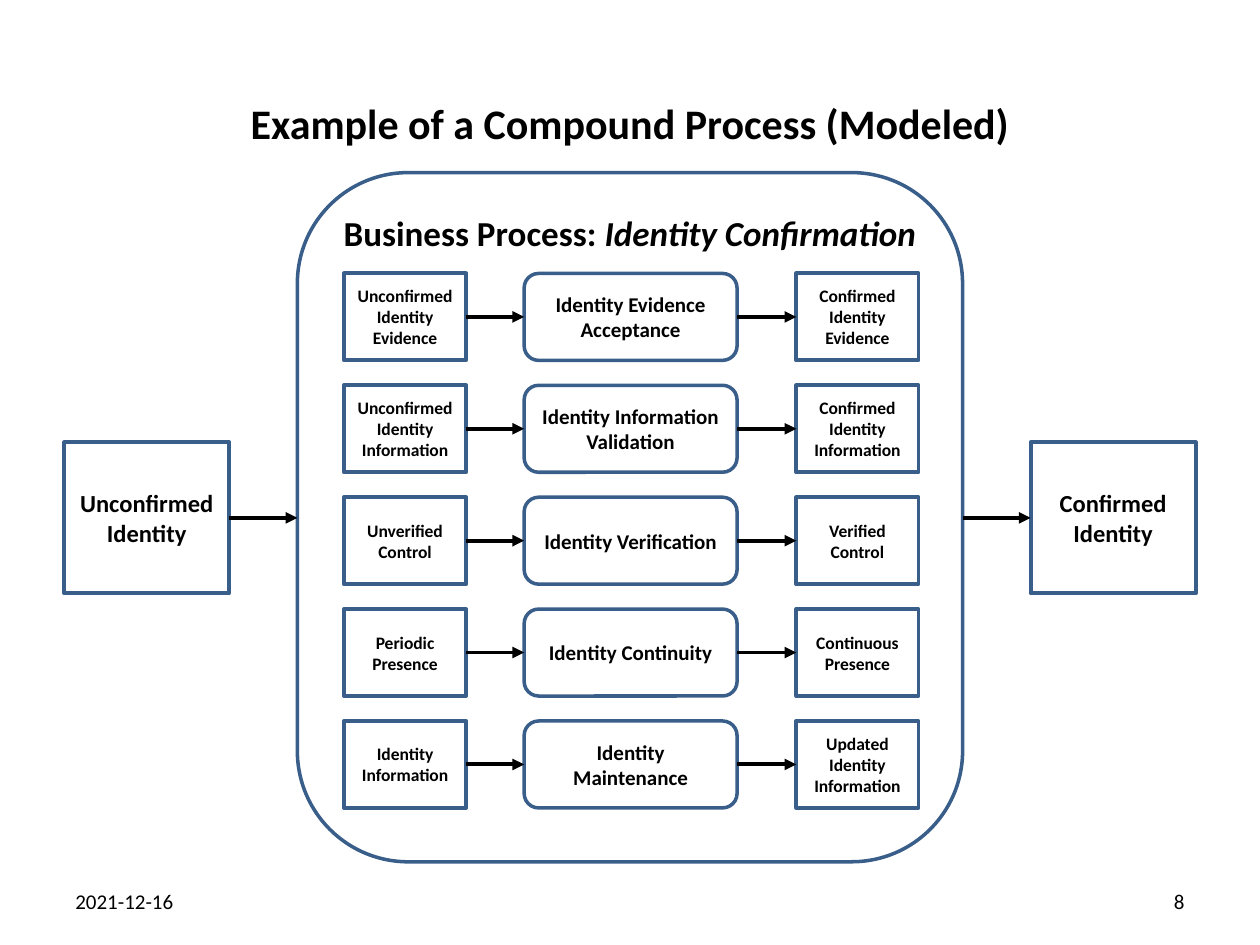
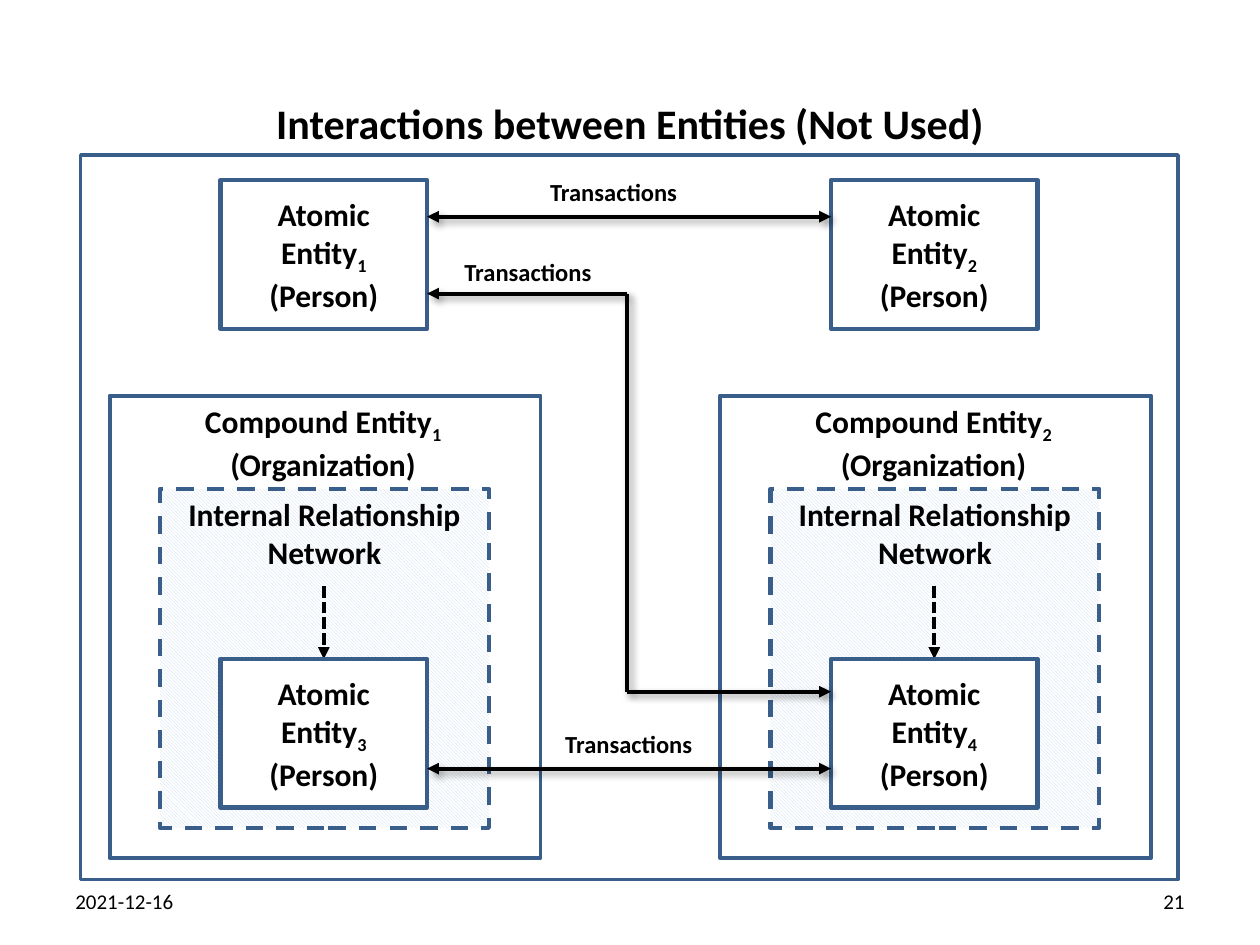
"""Build two slides on identity processes and entity interactions."""
import dataclasses
import typing

import lxml.etree
import pptx
import pptx.dml.color
import pptx.enum.dml
import pptx.enum.shapes
import pptx.enum.text
import pptx.oxml.ns
import pptx.util

RGB = pptx.dml.color.RGBColor
DASH = pptx.enum.dml.MSO_LINE
KIND = pptx.enum.shapes.MSO_SHAPE
ALIGN = pptx.enum.text.PP_ALIGN
ANCHOR = pptx.enum.text.MSO_ANCHOR
qn = pptx.oxml.ns.qn

COLUMNS = 100  # the slide is a grid of 100 columns and 75 rows of square cells
ROWS = 75


@dataclasses.dataclass(frozen=True)
class Theme:
    """Colours, font and sizes in points."""
    font: str = "Calibri"
    ink: RGB = RGB(0, 0, 0)
    paper: RGB = RGB(255, 255, 255)
    border: RGB = RGB(0x39, 0x5E, 0x89)
    hatch: RGB = RGB(0xC6, 0xD9, 0xF1)
    title: int = 24
    heading: int = 20
    entity: int = 18
    label: int = 14
    process: int = 12
    item: int = 10
    thin: float = 2
    medium: float = 2.25
    thick: float = 2.5


THEME = Theme()


class Box(typing.NamedTuple):
    """A rectangle in grid cells."""
    x: float
    y: float
    w: float
    h: float

    @property
    def right(self) -> float:
        return self.x + self.w

    @property
    def middle(self) -> float:
        return self.y + self.h / 2

    def moved(self, dx: float = 0, dy: float = 0) -> "Box":
        """Return the box shifted by some columns and rows."""
        return self._replace(x=self.x + dx, y=self.y + dy)


class Run(typing.NamedTuple):
    """A piece of text, italic or subscript if wished."""
    text: str
    italic: bool = False
    sub: bool = False


@dataclasses.dataclass(frozen=True)
class Style:
    """Type size, weight and placing of a text."""
    size: int
    bold: bool = True
    align: ALIGN = ALIGN.CENTER
    anchor: ANCHOR = ANCHOR.MIDDLE


@dataclasses.dataclass(frozen=True)
class Frame:
    """Preset, border and fill ("none", "solid" or "hatch") of a shape."""
    width: float
    kind: KIND = KIND.RECTANGLE
    fill: str = "none"
    dash: typing.Optional[DASH] = None


class Step(typing.NamedTuple):
    """A process with its input and its output."""
    source: str
    process: str
    result: str


Paragraphs = typing.Sequence[typing.Sequence[Run]]

STEPS = (
    Step("Unconfirmed Identity Evidence", "Identity Evidence Acceptance",
         "Confirmed Identity Evidence"),
    Step("Unconfirmed Identity Information", "Identity Information Validation",
         "Confirmed Identity Information"),
    Step("Unverified Control", "Identity Verification", "Verified Control"),
    Step("Periodic Presence", "Identity Continuity", "Continuous Presence"),
    Step("Identity Information", "Identity Maintenance",
         "Updated Identity Information"),
)

prs = pptx.Presentation()
prs.slide_width = pptx.util.Inches(10)
prs.slide_height = pptx.util.Inches(7.5)


def across(columns: float) -> int:
    """Turn columns into a length."""
    return round(prs.slide_width * columns / COLUMNS)


def down(rows: float) -> int:
    """Turn rows into a length."""
    return round(prs.slide_height * rows / ROWS)


def place(box: Box) -> tuple:
    """Return left, top, width and height of a box as lengths."""
    return across(box.x), down(box.y), across(box.w), down(box.h)


def assign(target: object, values: dict) -> None:
    """Set attributes from a dict."""
    for name, value in values.items():
        setattr(target, name, value)


def write(sp, paragraphs: Paragraphs, style: Style) -> None:
    """Fill a shape's text frame."""
    tf = sp.text_frame
    assign(tf, {"word_wrap": True, "vertical_anchor": style.anchor,
                "auto_size": pptx.enum.text.MSO_AUTO_SIZE.NONE})
    for i, runs in enumerate(paragraphs):
        p = tf.add_paragraph() if i else tf.paragraphs[0]
        p.alignment = style.align
        for run in runs:
            r = p.add_run()
            r.text = run.text
            assign(r.font, {"name": THEME.font, "size": pptx.util.Pt(style.size),
                            "bold": style.bold, "italic": run.italic})
            r.font.color.rgb = THEME.ink
            if run.sub:
                r.font._element.set("baseline", "-25000")


def add_text(s, box: Box, paragraphs: Paragraphs, style: Style) -> None:
    """Add a text box."""
    write(s.shapes.add_textbox(*place(box)), paragraphs, style)


def add_frame(s, box: Box, frame: Frame, paragraphs: Paragraphs = (),
              style: typing.Optional[Style] = None) -> None:
    """Add a bordered shape, with text if given."""
    sp = s.shapes.add_shape(frame.kind, *place(box))
    sp.shadow.inherit = False
    sp.line.color.rgb = THEME.border
    assign(sp.line, {"width": pptx.util.Pt(frame.width), "dash_style": frame.dash})
    if frame.fill == "hatch":
        sp.fill.patterned()
        sp.fill.pattern = pptx.enum.dml.MSO_PATTERN.LIGHT_DOWNWARD_DIAGONAL
        sp.fill.fore_color.rgb = THEME.hatch
        sp.fill.back_color.rgb = THEME.paper
    elif frame.fill == "solid":
        sp.fill.solid()
        sp.fill.fore_color.rgb = THEME.paper
    else:
        sp.fill.background()
    if style:
        write(sp, paragraphs, style)


def add_arrow(s, start: tuple, end: tuple, ends: tuple = ("tailEnd",),
              dash: typing.Optional[DASH] = None, shadow: bool = False) -> None:
    """Add a straight line with arrowheads at the named ends."""
    sp = s.shapes.add_connector(
        pptx.enum.shapes.MSO_CONNECTOR.STRAIGHT,
        across(start[0]), down(start[1]), across(end[0]), down(end[1]))
    sp.line.color.rgb = THEME.ink
    assign(sp.line, {"width": pptx.util.Pt(THEME.medium), "dash_style": dash})
    for name in ends:
        lxml.etree.SubElement(sp.line._ln, qn("a:" + name), type="triangle")
    effects = lxml.etree.SubElement(sp._element.spPr, qn("a:effectLst"))
    if shadow:
        outer = lxml.etree.SubElement(
            effects, qn("a:outerShdw"), blurRad=str(pptx.util.Pt(4)),
            dist=str(pptx.util.Pt(3)), dir=str(45 * 60000))
        color = lxml.etree.SubElement(outer, qn("a:srgbClr"), val=str(THEME.ink))
        lxml.etree.SubElement(color, qn("a:alpha"), val="40000")


def add_slide(title: str, number: int):
    """Add a slide with its title, date and number."""
    s = prs.slides.add_slide(prs.slide_layouts[5])
    sp = s.shapes.title
    assign(sp, dict(zip(("left", "top", "width", "height"),
                        place(Box(5.1, 7.2, 89.8, 5)))))
    write(sp, [[Run(title)]], Style(THEME.title))
    date = Box(5, 69.5, 23.3, 4)
    for box, text, align in (
            (date, "2021-12-16", ALIGN.LEFT),
            (date.moved(66.7), str(number), ALIGN.RIGHT)):
        add_text(s, box, [[Run(text)]], Style(THEME.process, False, align))
    return s


def build_process_slide() -> None:
    """Draw a compound process with its five steps."""
    s = add_slide("Example of a Compound Process (Modeled)", 8)
    rounded = Frame(THEME.thin, KIND.ROUNDED_RECTANGLE)
    square = Frame(THEME.medium)
    whole = Box(23.6, 13.7, 52.8, 54.7)
    add_frame(s, whole, rounded,
              [[Run("Business Process: "), Run("Identity Confirmation", italic=True)]],
              Style(THEME.heading, anchor=ANCHOR.TOP))

    before = Box(5.1, 35.1, 13.1, 12)
    after = before.moved(76.7)
    for box, text in ((before, "Unconfirmed Identity"), (after, "Confirmed Identity")):
        add_frame(s, box, square, [[Run(text)]], Style(THEME.label))
    for left, right in ((before, whole), (whole, after)):
        add_arrow(s, (left.right, before.middle), (right.x, before.middle))

    pitch = 8.88
    for i, step in enumerate(STEPS):
        y = 21.7 + i * pitch
        boxes = Box(27.3, y, 9.7, 6.9), Box(41.6, y, 16.9, 6.9), Box(63.2, y, 9.7, 6.9)
        frames = square, rounded, square
        sizes = THEME.item, THEME.process, THEME.item
        for box, frame, text, size in zip(boxes, frames, step, sizes):
            add_frame(s, box, frame, [[Run(text)]], Style(size))
        for left, right in zip(boxes, boxes[1:]):
            add_arrow(s, (left.right, left.middle), (right.x, right.middle))


def add_person(s, box: Box, number: int) -> None:
    """Add an atomic entity."""
    add_frame(s, box, Frame(THEME.thick, fill="solid"),
              [[Run("Atomic Entity"), Run(f"{number} ", sub=True), Run("(Person)")]],
              Style(THEME.entity))


def add_organization(s, dx: float, number: int, person: Box) -> None:
    """Add a compound entity that holds a network and a person."""
    top = Style(THEME.entity, anchor=ANCHOR.TOP)
    network = Box(12.7, 38.8, 26.1, 26.9).moved(dx)
    add_frame(s, network, Frame(THEME.thick, fill="hatch", dash=DASH.DASH),
              [[Run("Internal Relationship Network")]], top)
    add_frame(s, Box(8.7, 31.4, 34.2, 36.7).moved(dx), Frame(THEME.medium))
    add_text(s, Box(12.6, 31.4, 26.1, 7.1).moved(dx),
             [[Run("Compound Entity"), Run(str(number), sub=True)],
              [Run("(Organization)")]], top)
    center = person.x + person.w / 2
    add_arrow(s, (center, 46.5), (center, person.y), dash=DASH.SQUARE_DOT)
    add_person(s, person, number + 2)


def build_entity_slide() -> None:
    """Draw the transactions between persons and organizations."""
    s = add_slide("Interactions between Entities (Not Used)", 21)
    add_frame(s, Box(6.4, 12.3, 87.1, 57.5), Frame(THEME.thin))
    shift = 48.45
    upper = Box(17.5, 14.3, 16.4, 11.8)
    lower = upper.moved(dy=38)
    for i in range(2):
        add_organization(s, i * shift, i + 1, lower.moved(i * shift))
        add_person(s, upper.moved(i * shift), i + 1)

    left, right, bend = upper.right, upper.x + shift, 49.75
    both = ("headEnd", "tailEnd")
    for start, end, ends in (
            ((left, 17.2), (right, 17.2), both),
            ((left, 61), (right, 61), both),
            ((left, 23.3), (bend, 23.3), both[:1]),
            ((bend, 23.3), (bend, 54.9), ()),
            ((bend, 54.9), (right, 54.9), both[1:])):
        add_arrow(s, start, end, ends, shadow=True)
    for x, y in ((41.6, 13.6), (34.8, 19.9), (42.8, 57.4)):
        add_text(s, Box(x, y, 14.2, 3.4), [[Run("Transactions")]],
                 Style(THEME.label, anchor=ANCHOR.TOP))


build_process_slide()
build_entity_slide()
prs.save("out.pptx")
